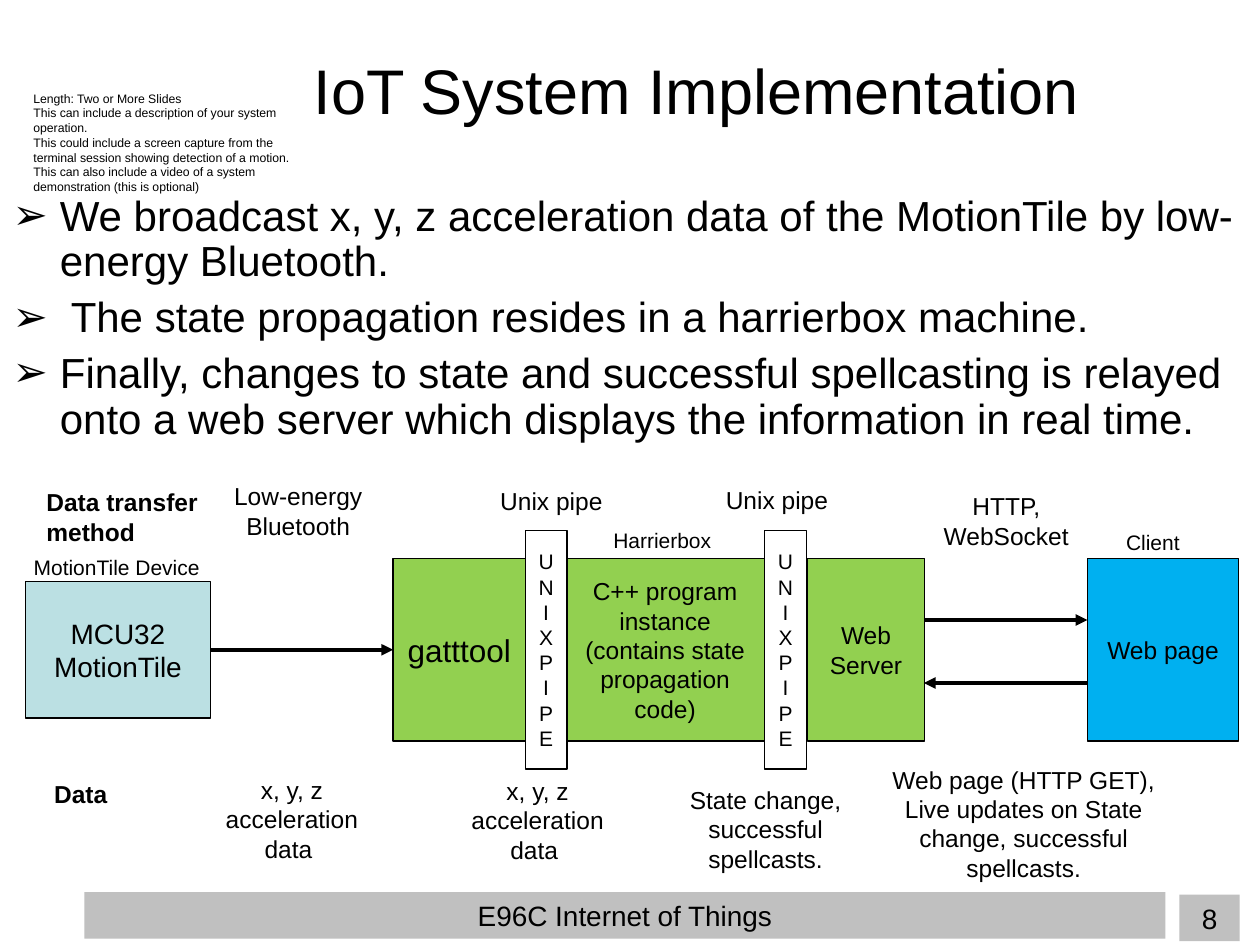
import dataclasses

import pptx
import pptx.dml.color
import pptx.enum.shapes
import pptx.enum.text
import pptx.oxml
import pptx.oxml.ns
import pptx.util

Pt = pptx.util.Pt
ALIGN = pptx.enum.text.PP_ALIGN
ANCHOR = pptx.enum.text.MSO_ANCHOR
AUTOSIZE = pptx.enum.text.MSO_AUTO_SIZE


@dataclasses.dataclass(frozen=True)
class Theme:
    """Colours and type sizes of the slide."""
    font: str = "Arial"
    ink: str = "000000"
    white: str = "FFFFFF"
    gray: str = "C0C0C0"
    teal: str = "BBE0E3"
    green: str = "92D050"
    blue: str = "00B0F0"
    title: int = 36
    body: int = 24
    tool: int = 18
    device: int = 16
    label: int = 14
    caption: int = 12
    note: int = 7


T = Theme()


def rgb(value):
    """Return the colour for a hex value."""
    return pptx.dml.color.RGBColor.from_string(value)


def write(tf, text, size=T.label, bold=False, align=ALIGN.CENTER,
          anchor=ANCHOR.TOP, fit=AUTOSIZE.NONE):
    """Fill a text frame with one paragraph per line of text."""
    tf.word_wrap = True
    tf.auto_size = fit
    tf.vertical_anchor = anchor
    for i, line in enumerate(text.split("\n")):
        p = tf.add_paragraph() if i else tf.paragraphs[0]
        p.alignment = align
        p.space_before = Pt(0)
        r = p.add_run()
        r.text = line
        r.font.name = T.font
        r.font.size = Pt(size)
        r.font.bold = bold
        r.font.color.rgb = rgb(T.ink)


def place(sp, x, y, w, h):
    """Move a shape to a box."""
    sp.left, sp.top, sp.width, sp.height = Pt(x), Pt(y), Pt(w), Pt(h)


def block(s, x, y, w, h, fill, text, size, outlined=True):
    """Draw a filled rectangle with centred text."""
    sp = s.shapes.add_shape(pptx.enum.shapes.MSO_SHAPE.RECTANGLE,
                            Pt(x), Pt(y), Pt(w), Pt(h))
    sp.shadow.inherit = False
    sp.fill.solid()
    sp.fill.fore_color.rgb = rgb(fill)
    if outlined:
        sp.line.color.rgb = rgb(T.ink)
        sp.line.width = Pt(0.75)
    else:
        sp.line.fill.background()
    write(sp.text_frame, text, size, anchor=ANCHOR.MIDDLE)


def label(s, x, y, w, h, text, **style):
    """Add a text box that grows with its text."""
    sp = s.shapes.add_textbox(Pt(x), Pt(y), Pt(w), Pt(h))
    write(sp.text_frame, text, fit=AUTOSIZE.SHAPE_TO_FIT_TEXT, **style)


def arrow(s, x1, x2, y):
    """Draw a horizontal arrow from x1 to x2."""
    c = s.shapes.add_connector(pptx.enum.shapes.MSO_CONNECTOR.STRAIGHT,
                               Pt(x1), Pt(y), Pt(x2), Pt(y))
    c.line.color.rgb = rgb(T.ink)
    c.line.width = Pt(2.25)
    spPr = c.element.spPr
    ln = spPr.find(pptx.oxml.ns.qn("a:ln"))
    ns = pptx.oxml.ns.nsdecls("a")
    ln.append(pptx.oxml.parse_xml(f'<a:tailEnd {ns} type="triangle"/>'))
    spPr.append(pptx.oxml.parse_xml(f"<a:effectLst {ns}/>"))


def header(s, x, y, w, h):
    """Place the title and the small guidance note to its left."""
    place(s.shapes.title, x + 108, y, w - 108, h)
    write(s.shapes.title.text_frame, "IoT System Implementation ", T.title,
          anchor=ANCHOR.MIDDLE)
    label(s, x, y + 42.5, 168, 66,
          "Length: Two or More Slides\n"
          "This can include a description of your system operation.\n"
          "This could include a screen capture from the terminal session "
          "showing detection of a motion.\n"
          "This can also include a video of a system demonstration "
          "(this is optional)", size=T.note, align=ALIGN.LEFT)


def bullets(s, x, y, w, h):
    """Place the arrow-bulleted list."""
    sp = s.placeholders[1]
    place(sp, x, y, w, h)
    write(sp.text_frame,
          "We broadcast x, y, z acceleration data of the MotionTile by "
          "low-energy Bluetooth.\n"
          " The state propagation resides in a harrierbox machine.\n"
          "Finally, changes to state and successful spellcasting is relayed "
          "onto a web server which displays the information in real time.",
          T.body, align=ALIGN.LEFT)
    ns = pptx.oxml.ns.nsdecls("a")
    for i, p in enumerate(sp.text_frame.paragraphs):
        pPr = p._p.get_or_add_pPr()
        pPr.set("marL", str(Pt(27)))
        pPr.set("indent", str(-Pt(27)))
        for xml in (f'<a:buClr {ns}><a:srgbClr val="{T.ink}"/></a:buClr>',
                    f'<a:buFont {ns} typeface="{T.font}"/>',
                    f'<a:buChar {ns} char="➢"/>'):
            pPr.append(pptx.oxml.parse_xml(xml))
        p.line_spacing = 0.9
        p.space_before = Pt(6 if i else 0)


def label_band(s, x, y, heading, heading_at, items):
    """Place a bold row heading and its centred labels."""
    dx, dy = heading_at
    label(s, x + dx, y + dy, 106, 24.5, heading, bold=True, align=ALIGN.LEFT)
    for dx, dy, w, text in items:
        label(s, x + dx, y + dy, w, 24.5, text)


def flow(s, x, y, w, h):
    """Draw the system stages, the pipes between them and the links."""
    mid = y + h / 2
    stages = [
        (0, 106, 78, T.teal, "MCU32 MotionTile", T.device),
        (307.4, 116.6, 104.4, T.green, "C++ program instance (contains state "
         "propagation code)", T.label),
        (210.2, 75.6, 104.4, T.green, "gatttool", T.tool),
        (447, 67, 104.4, T.green, "Web Server", T.label),
        (w - 86.4, 86.4, 104.4, T.blue, "Web page", T.label),
    ]
    for dx, bw, bh, fill, text, size in stages:
        block(s, x + dx, mid - bh / 2, bw, bh, fill, text, size)
    for dx in (285.8, 422.6):
        block(s, x + dx, y, 23.8, h, T.white, "UNIX PIPE", T.caption)
    for x1, x2, dy in ((106, 210.2, 0), (513.5, 607, -17), (607, 513.5, 19)):
        arrow(s, x + x1, x + x2, mid + dy)
    for dx, dy, cw, text in ((-2.2, 10, 113, "MotionTile Device"),
                             (329, -5, 91.4, "Harrierbox"),
                             (622, -4.3, 72, "Client")):
        label(s, x + dx, y + dy, cw, 21.6, text, size=T.caption,
              align=ALIGN.LEFT)


def footer(s, x, y, w, h):
    """Place the course bar and the slide number."""
    block(s, x, y, 617.8, h, T.gray, "E96C Internet of Things", T.device,
          outlined=False)
    block(s, x + w - 34.5, y + 1.4, 34.5, h, T.gray, "8", T.device,
          outlined=False)


def main():
    """Build and save the slide."""
    prs = pptx.Presentation()
    prs.slide_width, prs.slide_height = Pt(720), Pt(540)
    s = prs.slides.add_slide(prs.slide_layouts[1])
    footer(s, 48.2, 509.8, 660.2, 26.6)
    header(s, 12, 6, 674, 90)
    bullets(s, 0, 108, 720, 162)
    flow(s, 14.4, 303.2, 693.4, 136.2)
    label_band(s, 19.4, 271.4, "Data transfer method", (0, 3.6), [
        (98, 0, 106, "Low-energy Bluetooth"),
        (242.7, 2.9, 106, "Unix pipe"),
        (371.6, 2.2, 106, "Unix pipe"),
        (502.6, 5.8, 106, "HTTP, WebSocket")])
    label_band(s, 23.8, 433.4, "Data", (0, 8), [
        (90, 5.8, 106, "x, y, z acceleration data "),
        (230.4, 6.5, 106, "x, y, z acceleration data "),
        (360.7, 11.6, 106, "State change, successful spellcasts."),
        (473.7, 0, 175, "Web page (HTTP GET), Live updates on State change, "
         "successful spellcasts.")])
    prs.save("out.pptx")


if __name__ == "__main__":
    main()
